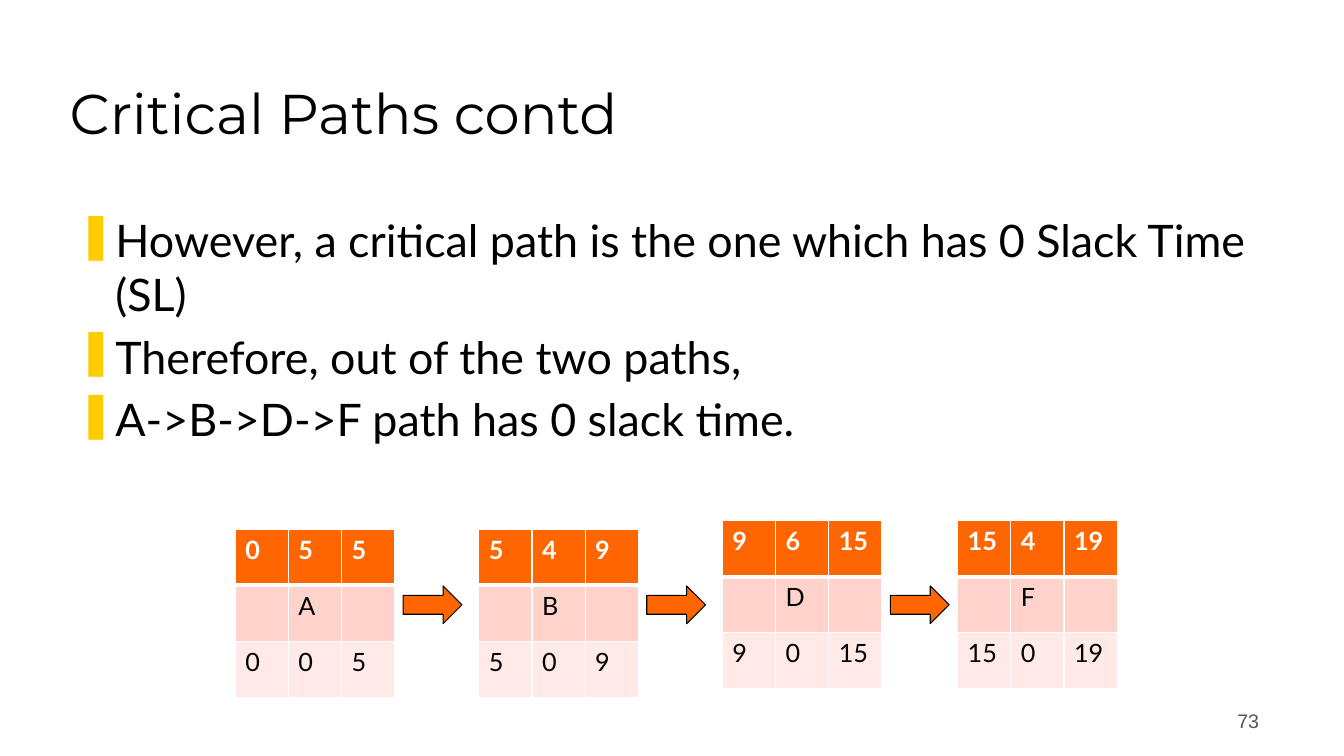
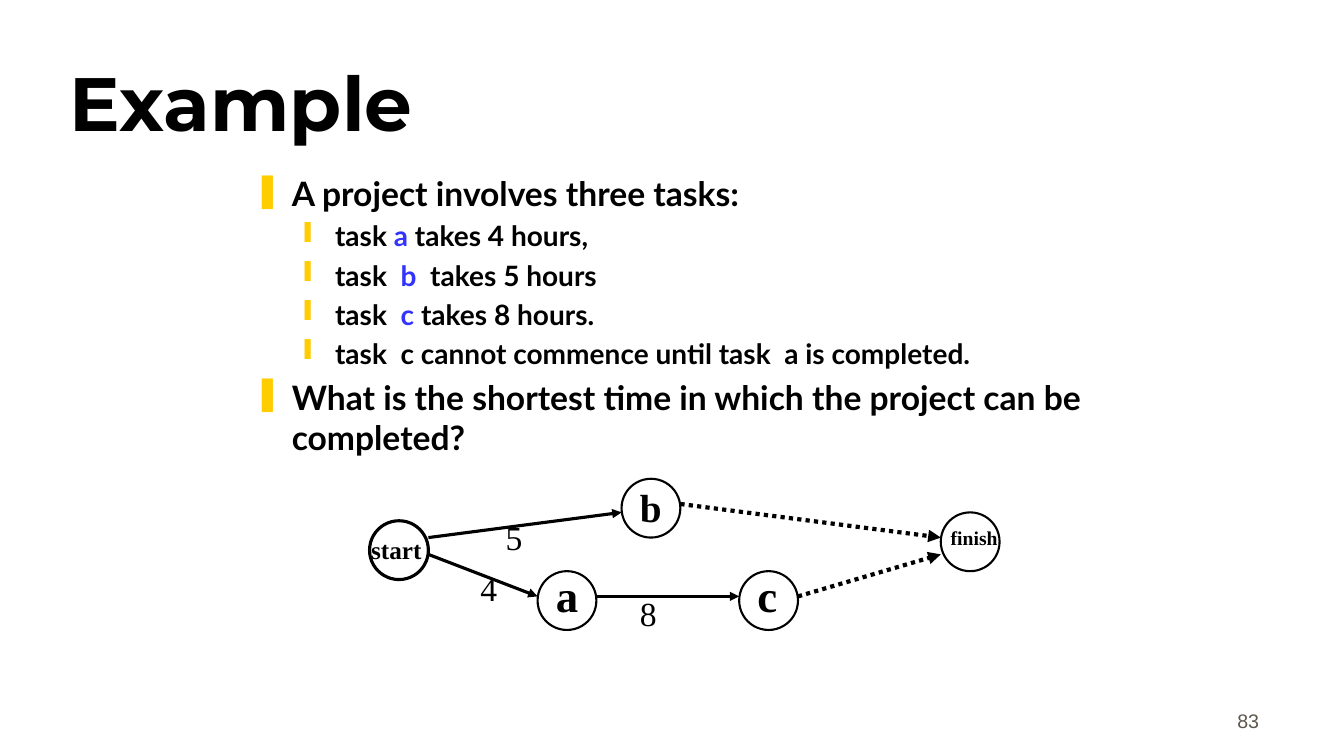
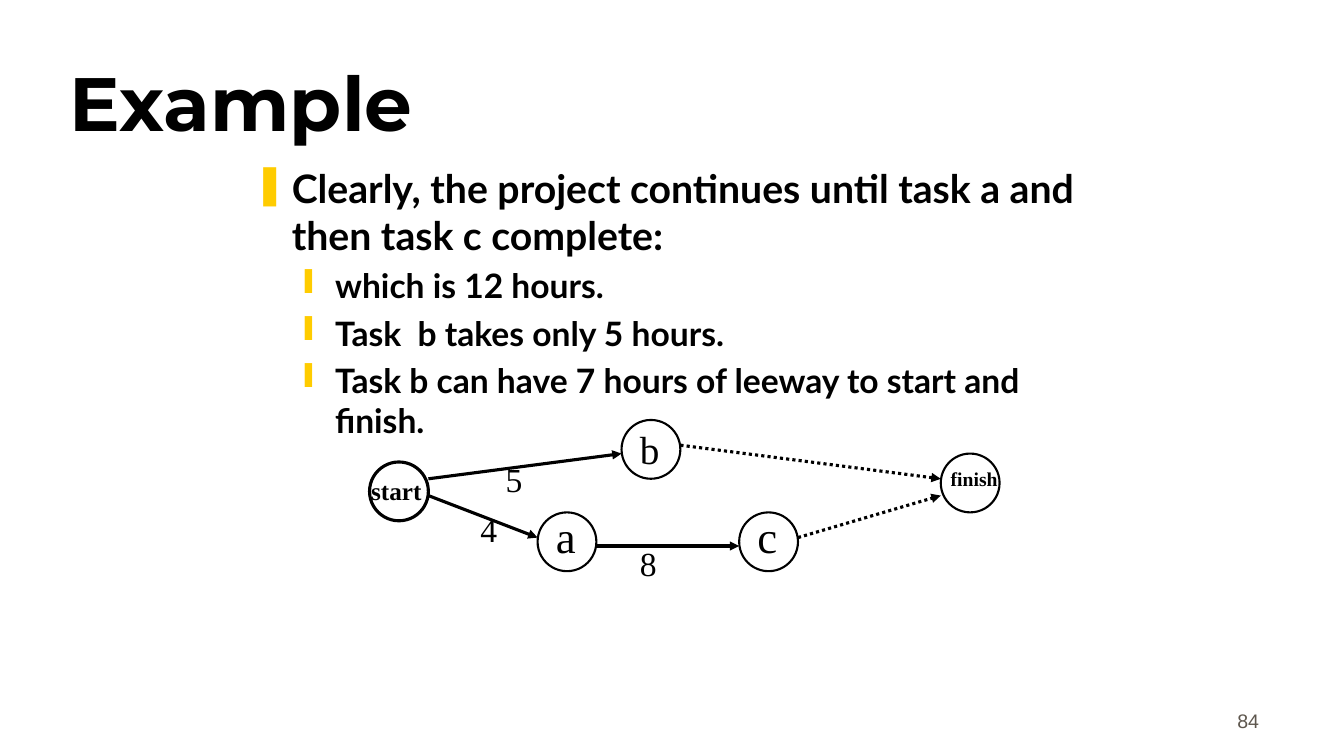
from dataclasses import dataclass

from lxml.etree import SubElement
from pptx import Presentation
from pptx.dml.color import RGBColor
from pptx.enum.dml import MSO_LINE
from pptx.enum.shapes import MSO_CONNECTOR, MSO_SHAPE
from pptx.enum.text import MSO_ANCHOR as Anchor, MSO_AUTO_SIZE as AutoSize, PP_ALIGN as Align
from pptx.oxml.ns import qn
from pptx.util import Emu, Inches, Pt


@dataclass(frozen=True)
class Theme:
    ink: str = "000000"
    white: str = "FFFFFF"
    orange: str = "FF6600"
    row_fills: tuple = ("FF6600", "FFD3CC", "FFEAE7")
    bullet: str = "FFCC00"
    accent: str = "3333FF"
    page: str = "5E574E"
    title_font: str = "Montserrat"
    body_font: str = "Lato"
    page_font: str = "Arial"
    diagram_font: str = "Times New Roman"
    page_size: int = 14
    cell_size: int = 18
    duration_size: int = 24


THEME = Theme()
COLUMNS, ROWS = 160, 90
CELL = Inches(7.5) / ROWS
BULLETS = (("❚", 0.38, 0.38), ("❙", 0.81, 0.31))  # mark, margin, hanging indent
BODY, PAGE = 0, 1


def cells(*counts):
    """Convert counts of grid cells to lengths."""
    return [Emu(round(count * CELL)) for count in counts]


def write(holder, *lines, font, size=None, color=THEME.ink, bold=False,
          align=Align.LEFT, anchor=Anchor.TOP):
    """Fill a shape or table cell; a line is text or (level, size, text).

    Parts of a line between bars take the accent colour.
    """
    frame = holder.text_frame
    frame.word_wrap = True
    frame.auto_size = AutoSize.NONE
    frame.vertical_anchor = anchor
    for index, line in enumerate(lines):
        paragraph = frame.add_paragraph() if index else frame.paragraphs[0]
        paragraph.alignment = align
        level, line_size, text = (None, size, line) if isinstance(line, str) else line
        if level is not None:
            mark, margin, hanging = BULLETS[level]
            paragraph.level = level
            properties = paragraph._p.get_or_add_pPr()
            properties.set("marL", str(Inches(margin)))
            properties.set("indent", str(-Inches(hanging)))
            SubElement(SubElement(properties, qn("a:buClr")), qn("a:srgbClr"), val=THEME.bullet)
            SubElement(properties, qn("a:buChar"), char=mark)
        if index:
            paragraph.space_before = Pt(line_size * 0.2)
        for part, words in enumerate(text.split("|")):
            run = paragraph.add_run()
            run.text = words
            run.font.name = font
            run.font.size = Pt(line_size)
            run.font.bold = bold
            run.font.color.rgb = RGBColor.from_string(THEME.accent if part % 2 else color)


presentation = Presentation()
presentation.slide_width, presentation.slide_height = cells(COLUMNS, ROWS)

# Titles, body text and page numbers
PAGES = [
    ("Critical Paths contd", 40, False, 73, (8, 24.75, 143.2, 54.75), [
        (0, 32, "However, a critical path is the one which has 0 Slack Time (SL)"),
        (0, 32, "Therefore, out of the two paths,"),
        (0, 32, "A->B->D->F path has 0 slack time."),
    ]),
    ("Example", 54, True, 83, (29, 20, 102, 54), [
        (0, 24, "A project involves three tasks:"),
        (1, 20, "task |a| takes 4 hours,"),
        (1, 20, "task  |b|  takes 5 hours"),
        (1, 20, "task  |c| takes 8 hours."),
        (1, 20, "task  c cannot commence until task  a is completed."),
        (0, 24, "What is the shortest time in which the project can be completed?"),
    ]),
    ("Example", 54, True, 84, (29, 19, 102, 54), [
        (0, 28, "Clearly, the project continues until task a and then task c complete:"),
        (1, 24, "which is 12 hours."),
        (1, 24, "Task  b takes only 5 hours."),
        (1, 24, "Task b can have 7 hours of leeway to start and finish."),
    ]),
]
slides = []
for title_text, title_size, bold, number, body_place, lines in PAGES:
    slide = presentation.slides.add_slide(presentation.slide_layouts[5])
    slides.append(slide)
    title = slide.shapes.title
    title.left, title.top, title.width, title.height = cells(7.08, 3, 136, 15)
    write(title, title_text, font=THEME.title_font, size=title_size, bold=bold,
          anchor=Anchor.BOTTOM)
    write(slide.shapes.add_textbox(*cells(*body_place)), *lines,
          font=THEME.body_font, bold=bold)
    write(slide.shapes.add_textbox(*cells(117.75, 81.75, 33.33, 6)), str(number),
          font=THEME.page_font, size=THEME.page_size, color=THEME.page,
          align=Align.RIGHT, anchor=Anchor.BOTTOM)

critical_slide, question_slide, answer_slide = slides

# Critical path: early start, duration, early finish / task / late start, slack, late finish
TASKS = [
    (28, 63, (("0", "5", "5"), ("", "A", ""), ("0", "0", "5"))),
    (57, 63, (("5", "4", "9"), ("", "B", ""), ("5", "0", "9"))),
    (86, 62, (("9", "6", "15"), ("", "D", ""), ("9", "0", "15"))),
    (114, 62, (("15", "4", "19"), ("", "F", ""), ("15", "0", "19"))),
]
for left, top, values in TASKS:
    table = critical_slide.shapes.add_table(3, 3, *cells(left, top, 19, 20)).table
    for row, row_values in enumerate(values):
        header = row == 0
        for column, value in enumerate(row_values):
            cell = table.cell(row, column)
            properties = cell._tc.get_or_add_tcPr()
            for side in "LRTB":
                thick = (header and side == "B") or (row == 1 and side == "T")
                border = SubElement(properties, qn(f"a:ln{side}"), w=str(Pt(3 if thick else 1)))
                SubElement(SubElement(border, qn("a:solidFill")), qn("a:srgbClr"),
                           val=THEME.white)
            cell.fill.solid()
            cell.fill.fore_color.rgb = RGBColor.from_string(THEME.row_fills[row])
            write(cell, value, font=THEME.body_font, size=THEME.cell_size, bold=header,
                  color=THEME.white if header else THEME.ink)

for left, _, _ in TASKS[:-1]:
    arrow = critical_slide.shapes.add_shape(MSO_SHAPE.RIGHT_ARROW,
                                            *cells(left + 20, 69.75, 7, 4.5))
    arrow.shadow.inherit = False
    arrow.fill.solid()
    arrow.fill.fore_color.rgb = RGBColor.from_string(THEME.orange)
    arrow.line.color.rgb = RGBColor.from_string(THEME.ink)
    arrow.line.width = Pt(0.75)

# Task networks: rows count from the top of the network
NODES = [(44, 5, 2.25), (64, 11, 1.5), (88, 11, 1.5), (74, 0, 1.5), (112, 4, 1.5)]
NAMES = [
    ("start", 43, 6, 12, 4.8, 18),
    ("b", 75, 0, 5, 6.8, 28),
    ("a", 65, 10, 6, 7.6, 32),
    ("c", 89, 10, 7, 7.6, 32),
    ("finish", 112, 5, 12, 4, 14),
]
# On the answer slide the a-c arrow and its duration sit one row lower
NETWORKS = [(question_slide, 57, True, 3, 0), (answer_slide, 50, False, 2.25, 1)]
for slide, top, bold_tasks, dotted_width, drop in NETWORKS:
    for left, row, width in NODES:
        node = slide.shapes.add_shape(MSO_SHAPE.OVAL, *cells(left, top + row, 7, 7))
        node.shadow.inherit = False
        node.fill.background()
        node.line.color.rgb = RGBColor.from_string(THEME.ink)
        node.line.width = Pt(width)

    for start_x, start_y, end_x, end_y, dotted in [
        (51, 9, 64, 14, False),
        (71, 14 + drop, 88, 14 + drop, False),
        (95, 14, 112, 9, True),
        (51, 7, 74, 4, False),
        (81, 3, 112, 7, True),
    ]:
        link = slide.shapes.add_connector(
            MSO_CONNECTOR.STRAIGHT, *cells(start_x, top + start_y, end_x, top + end_y))
        link.line.color.rgb = RGBColor.from_string(THEME.ink)
        link.line.width = Pt(dotted_width if dotted else 2.25)
        if dotted:
            link.line.dash_style = MSO_LINE.ROUND_DOT
        SubElement(link.line._get_or_add_ln(), qn("a:tailEnd"), type="triangle")
        SubElement(link._element.spPr, qn("a:effectLst"))

    for name, left, row, width, height, size in NAMES:
        write(slide.shapes.add_textbox(*cells(left, top + row, width, height)), name,
              font=THEME.diagram_font, size=size, bold=bold_tasks or len(name) > 1)

    for duration, left, row in [("5", 59, 4), ("4", 56, 10), ("8", 75, 13 + drop)]:
        write(slide.shapes.add_textbox(*cells(left, top + row, 8, 6)), duration,
              font=THEME.diagram_font, size=THEME.duration_size)

presentation.save("out.pptx")
